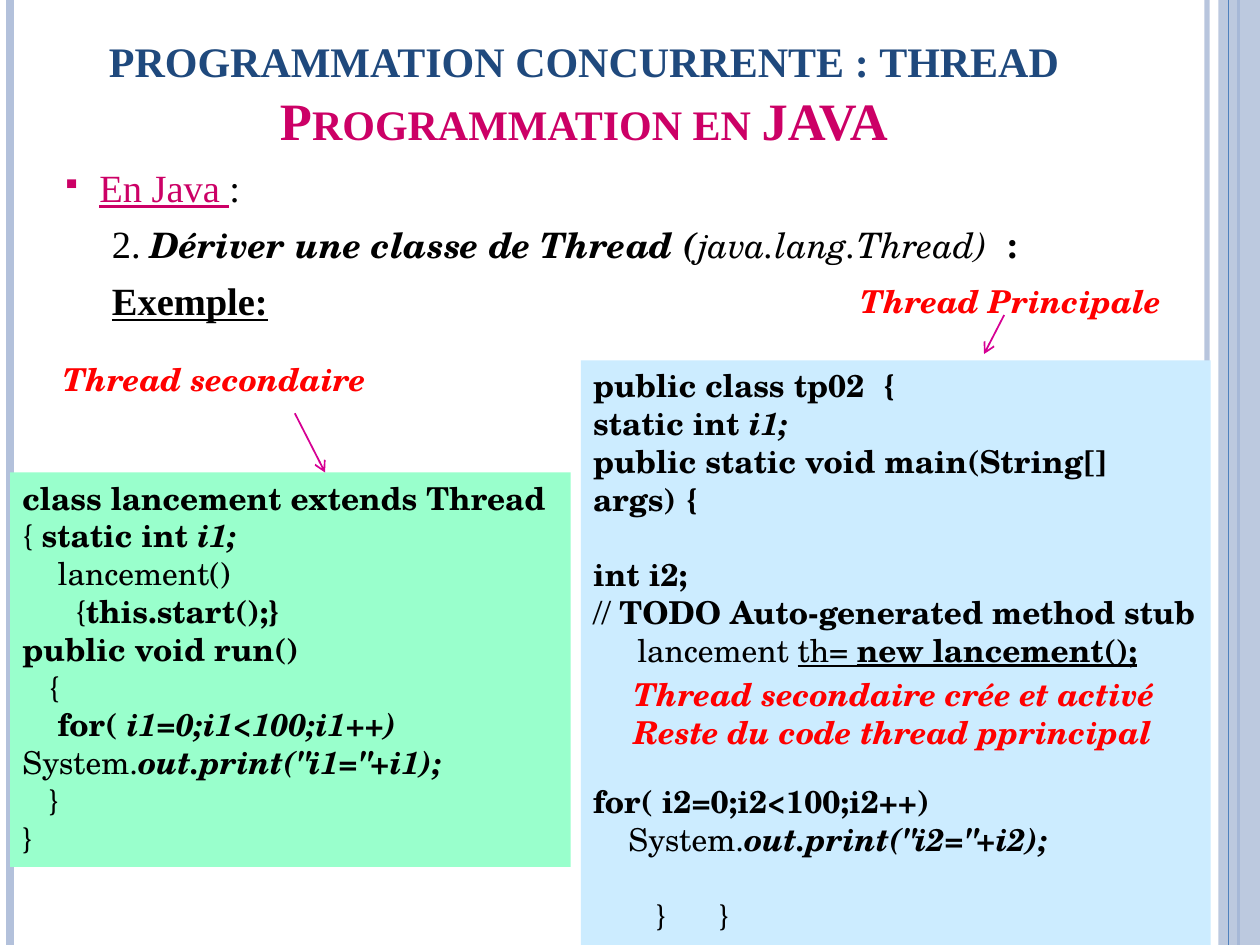
from lxml import etree
from pptx import Presentation, util as u
from pptx.dml.color import RGBColor
from pptx.enum import shapes, text
from pptx.oxml.ns import qn

SERIF, SCHOLA = "Times New Roman", "TeX Gyre Schola"
BLACK, RED, PINK, ARROW = "000000", "FF0000", "CC0066", "D60093"
BLUE, PALE, NAVY = "4F81BD", "B3C1DB", "1F497D"
WIDTH, HEIGHT = 10, 7.5
ROW = 21.6      # points in one line of code
SPACE = 0.07    # inches in one column of code indent
LABEL_INDENT = 0.4

# A paragraph is (runs, options); a run is (words, flags among b, i, u, options).
TITLE = [
    ([("programmation concurrente : thread", "b", {"color": NAVY})], {}),
    ([("Programmation en JAVA", "b", {"color": PINK})], {}),
]
OUTLINE = [
    ([("En Java ", "u", {"color": PINK}), (":", "")], {"bullet": "▪"}),
    ([("2. ", ""),
      ("Dériver une classe de Thread (", "bi", {"font": SCHOLA, "size": 20}),
      ("java.lang.Thread) ", "i", {"font": SCHOLA, "size": 20}),
      ("\u00a0:", "b")], {"indent": LABEL_INDENT}),
    ([("Exemple:", "bu")], {"indent": LABEL_INDENT}),
]
SECONDARY_CODE = [
    ([("class lancement extends Thread", "b")], {}),
    ([("{ ", ""), ("static int ", "b"), ("i1;", "bi")], {}),
    ([("lancement()", "")], {"indent": 4 * SPACE}),
    ([("{", ""), ("this.start();}", "b")], {"indent": 6 * SPACE}),
    ([("public void run()", "b")], {}),
    ([("{", "")], {"indent": 3 * SPACE}),
    ([("for( ", "b"), ("i1=0;i1<100;i1++)", "bi")], {"indent": 4 * SPACE}),
    ([("System.", ""), ('out.print("i1="+i1);', "bi")], {}),
    ([("}", "")], {"indent": 3 * SPACE}),
    ([("}", "")], {}),
]
MAIN_CODE = [
    ([("public class tp02  {", "b")], {}),
    ([("static int ", "b"), ("i1;", "bi")], {}),
    ([("public static void main(String[] args) {", "b")], {}),
    ([("int i2;", "b")], {"before": ROW}),
    ([("// ", ""), ("TODO Auto-generated method stub", "b")], {}),
    ([("lancement ", ""), ("th= ", "u"), ("new lancement();", "bu")],
     {"indent": 5 * SPACE}),
    ([("for( i2=0;i2<100;i2++)", "b")], {"before": 3 * ROW}),
    ([("System.", ""), ('out.print("i2="+i2);', "bi")], {"indent": 4 * SPACE}),
    ([("\t}\t}", "")], {"before": ROW, "tabs": (2.43, 3.48)}),
]
CODE_BOXES = [
    ((0.08, 3.75, 4.45, 3.13), "99FFCC", SECONDARY_CODE),
    ((4.61, 2.86, 5, 4.64), "CCECFF", MAIN_CODE),
]
LABELS = [
    ((0, 2.81, 3.67, 0.4), ["Thread secondaire"]),
    ((4.53, 5.31, 4.84, 0.71),
     ["Thread secondaire crée et activé", "Reste du code thread pprincipal"]),
    ((6.33, 2.19, 3.67, 0.4), ["Thread Principale"]),
]
ARROWS = [((2.34, 3.28), (2.58, 3.75)), ((7.97, 2.5), (7.81, 2.81))]
# x, colour, points, opacity in percent
EDGE_LINES = [(9.58, PALE, 3, 93), (0.08, PALE, 4.5, 100), (9.83, BLUE, 1.5, 100)]
INNER_LINE = (9.75, BLUE, 0.75, 100)
BAND = (9.67, 0, 0.33, HEIGHT)


def rgb(code):
    return RGBColor.from_string(code)


def inches(values):
    return [u.Inches(value) for value in values]


def child(parent, tag, **attributes):
    return etree.SubElement(parent, qn(tag), attributes)


def set_opacity(owner, percent):
    for color in owner.iter(qn("a:srgbClr")):
        child(color, "a:alpha", val=str(percent * 1000))


def set_indent(paragraph, indent, bullet, tabs):
    props = paragraph._p.get_or_add_pPr()
    hang = 0.3 if bullet else 0
    props.set("marL", str(u.Inches(indent + hang)))
    props.set("indent", str(u.Inches(-hang)))
    if bullet:
        child(child(props, "a:buClr"), "a:srgbClr", val=PINK)
        child(props, "a:buSzPct", val="70000")
        child(props, "a:buChar", char=bullet)
    if tabs:
        stops = child(props, "a:tabLst")
        for stop in tabs:
            child(stops, "a:tab", pos=str(u.Inches(stop)), algn="l")


def write(frame, paragraphs, font=SCHOLA, size=18, color=BLACK, before=0,
          align=text.PP_ALIGN.LEFT, anchor=text.MSO_ANCHOR.TOP, small_caps=False):
    frame.word_wrap = True
    frame.auto_size = text.MSO_AUTO_SIZE.NONE
    frame.vertical_anchor = anchor
    for number, (runs, options) in enumerate(paragraphs):
        paragraph = frame.add_paragraph() if number else frame.paragraphs[0]
        paragraph.alignment = align
        paragraph.space_before = u.Pt(options.get("before", before))
        set_indent(paragraph, options.get("indent", 0),
                   options.get("bullet"), options.get("tabs"))
        for words, flags, *special in runs:
            style = {"font": font, "size": size, "color": color}
            style.update(*special)
            run = paragraph.add_run()
            run.text = words
            run.font.name = style["font"]
            run.font.size = u.Pt(style["size"])
            run.font.color.rgb = rgb(style["color"])
            run.font.bold = "b" in flags
            run.font.italic = "i" in flags
            run.font.underline = "u" in flags
            if small_caps:
                run.font._element.set("cap", "small")


def add_block(slide, place, fill):
    block = slide.shapes.add_shape(shapes.MSO_SHAPE.RECTANGLE, *inches(place))
    block.shadow.inherit = False
    block.fill.solid()
    block.fill.fore_color.rgb = rgb(fill)
    block.line.fill.background()
    return block


def add_line(slide, start, end, color, points, opacity=100, arrow=False):
    line = slide.shapes.add_connector(
        shapes.MSO_CONNECTOR.STRAIGHT, *inches(start + end))
    line.line.color.rgb = rgb(color)
    line.line.width = u.Pt(points)
    props = line._element.spPr
    if opacity < 100:
        set_opacity(props, opacity)
    if arrow:
        child(props.find(qn("a:ln")), "a:tailEnd", type="arrow")
    child(props, "a:effectLst")


def add_edge_line(slide, x, color, points, opacity):
    add_line(slide, (x, 0), (x, HEIGHT), color, points, opacity)


def main():
    deck = Presentation()
    deck.slide_width, deck.slide_height = inches((WIDTH, HEIGHT))
    slide = deck.slides.add_slide(deck.slide_layouts[5])

    for edge in EDGE_LINES:
        add_edge_line(slide, *edge)
    set_opacity(add_block(slide, BAND, PALE)._element.spPr, 87)
    add_edge_line(slide, *INNER_LINE)

    title = slide.shapes.title
    title.left, title.top, title.width, title.height = inches((0.55, 0.08, 8.17, 1.17))
    write(title.text_frame, TITLE, font=SERIF, size=30, small_caps=True,
          align=text.PP_ALIGN.CENTER, anchor=text.MSO_ANCHOR.BOTTOM)
    outline = slide.shapes.add_textbox(*inches((0.39, 1.25, 8.17, 1.83)))
    write(outline.text_frame, OUTLINE, font=SERIF, size=22, before=6)

    for place, fill, code in CODE_BOXES:
        write(add_block(slide, place, fill).text_frame, code)
    for place, lines in LABELS:
        label = slide.shapes.add_textbox(*inches(place))
        write(label.text_frame,
              [([(line, "bi")], {"indent": LABEL_INDENT}) for line in lines], color=RED)
    for start, end in ARROWS:
        add_line(slide, start, end, ARROW, 1, arrow=True)

    deck.save("out.pptx")


if __name__ == "__main__":
    main()
